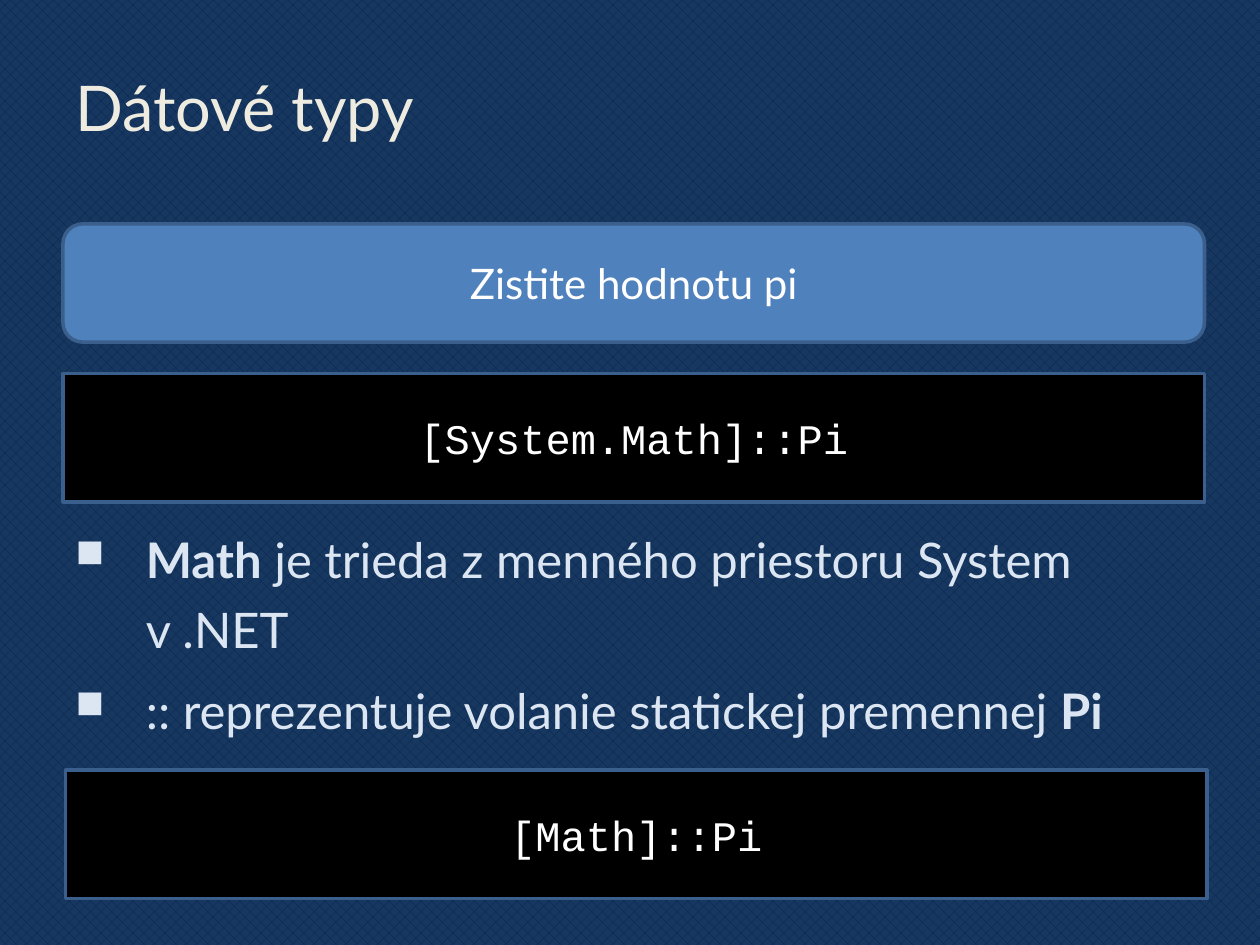
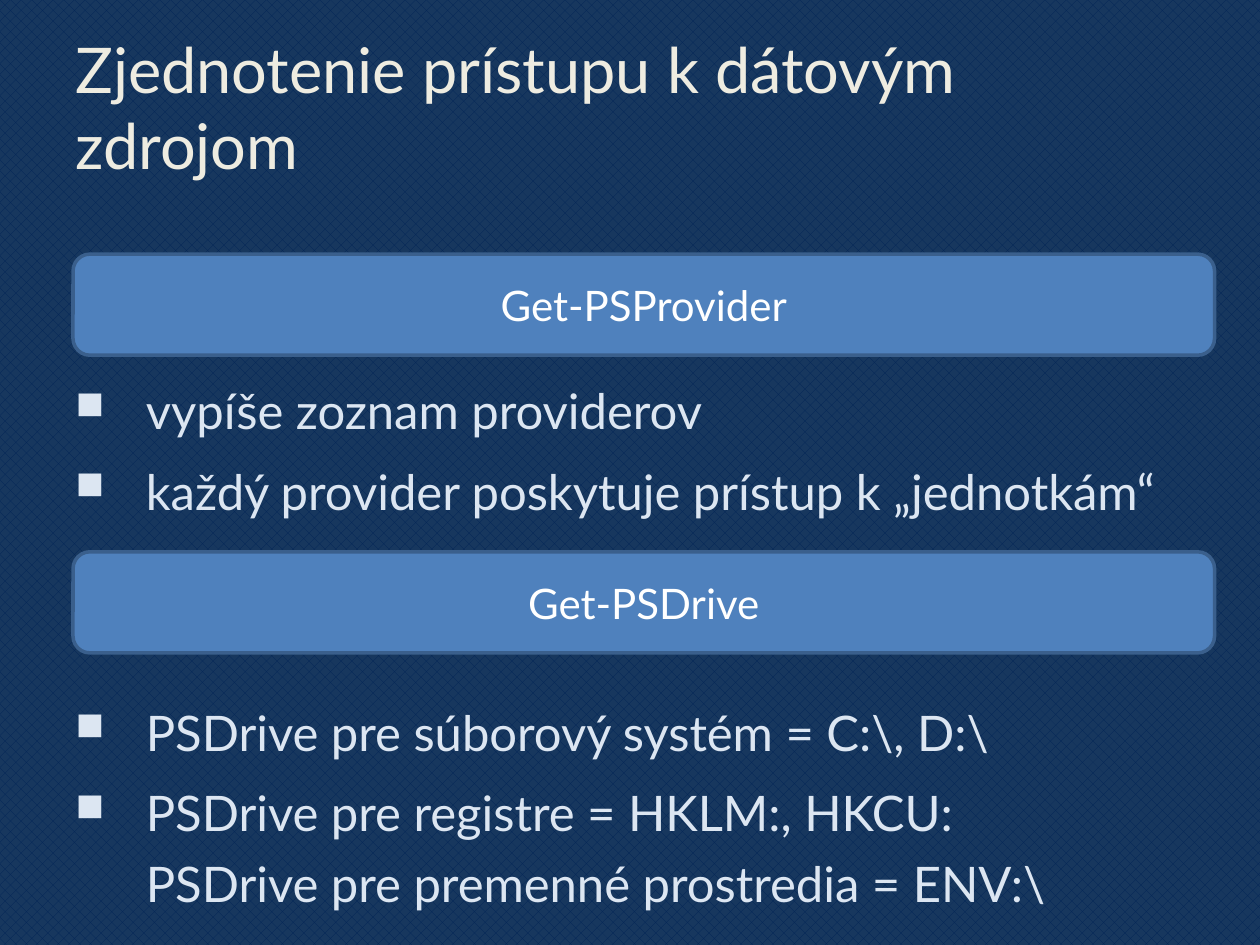
from lxml import etree
from pptx import Presentation
from pptx.dml.color import RGBColor
from pptx.enum.dml import MSO_PATTERN
from pptx.enum.shapes import MSO_SHAPE
from pptx.enum.text import MSO_ANCHOR, PP_ALIGN
from pptx.oxml.ns import qn
from pptx.util import Inches, Pt

PERCENT_40 = MSO_PATTERN.from_xml("pct40")
RECT, ROUNDED = MSO_SHAPE.RECTANGLE, MSO_SHAPE.ROUNDED_RECTANGLE
TOP, MIDDLE = MSO_ANCHOR.TOP, MSO_ANCHOR.MIDDLE
LEFT, CENTER = PP_ALIGN.LEFT, PP_ALIGN.CENTER

# Shared look
WIDTH, HEIGHT = Inches(10), Inches(7.5)
NAVY, DARK_NAVY = "17375E", "012456"
CREAM, PALE, WHITE = "EEECE1", "DCE6F2", "FFFFFF"
BLUE, BORDER, BLACK = "4F81BD", "3A5F8C", "000000"
SANS, MONO = "Lato", "Courier New"
INDENT = Inches(0.56)

# Boxes are left, top, width, height in percent of the slide
TITLE_BOX = (5, 4, 90, 14.5)
PANEL_WIDTH = 90.6


def rgb(value):
    return RGBColor.from_string(value)


def place(box):
    x, y, w, h = box
    return [int(size * share / 100) for size, share in
            ((WIDTH, x), (HEIGHT, y), (WIDTH, w), (HEIGHT, h))]


def add_text(p, text, size=28, color=PALE, font=SANS, bold=False):
    """Add text to a paragraph; a newline becomes a line break."""
    for i, line in enumerate(text.split("\n")):
        if i:
            p.add_line_break()
        r = p.add_run()
        r.text = line
        r.font.size, r.font.name, r.font.bold = Pt(size), font, bold
        r.font.color.rgb = rgb(color)


def add_textbox(slide, box, anchor=TOP):
    tf = slide.shapes.add_textbox(*place(box)).text_frame
    tf.word_wrap = True
    tf.vertical_anchor = anchor
    return tf


def add_title(slide, text):
    p = add_textbox(slide, TITLE_BOX, MIDDLE).paragraphs[0]
    p.alignment = LEFT
    add_text(p, text, size=36, color=CREAM)


def set_bullet(p):
    pPr = p._p.get_or_add_pPr()
    pPr.set("marL", str(int(INDENT)))
    pPr.set("indent", str(-int(INDENT)))
    color = etree.SubElement(pPr, qn("a:buClr"))
    etree.SubElement(color, qn("a:srgbClr"), val=PALE)
    etree.SubElement(pPr, qn("a:buSzPct"), val="80000")
    etree.SubElement(pPr, qn("a:buChar"), char="■")


def add_bullets(slide, box, items):
    """Each item is a list of (text, bold) pieces."""
    tf = add_textbox(slide, box)
    for i, pieces in enumerate(items):
        p = tf.paragraphs[0] if i == 0 else tf.add_paragraph()
        p.line_spacing, p.space_before = 1.2, Pt(5.6)
        set_bullet(p)
        for text, bold in pieces:
            add_text(p, text, bold=bold)


def add_panel(slide, box, text, kind=ROUNDED, fill=BLUE, font=SANS):
    sp = slide.shapes.add_shape(kind, *place(box))
    sp.shadow.inherit = False
    sp.fill.solid()
    sp.fill.fore_color.rgb = rgb(fill)
    sp.line.color.rgb = rgb(BORDER)
    sp.line.width = Pt(2)
    tf = sp.text_frame
    tf.word_wrap = True
    tf.vertical_anchor = MIDDLE
    p = tf.paragraphs[0]
    p.alignment = CENTER
    add_text(p, text, size=24, color=WHITE, font=font)


def add_code(slide, left, top, text):
    add_panel(slide, (left, top, PANEL_WIDTH, 13.6), text, RECT, BLACK, MONO)


def data_types_slide(slide):
    add_title(slide, "Dátové typy")
    add_bullets(slide, (5, 54.1, 90, 27), [
        [("Math", True), (" je trieda z menného priestoru System v .NET", False)],
        [(":: reprezentuje volanie statickej premennej ", False), ("Pi", True)],
    ])
    add_panel(slide, (5, 23.7, PANEL_WIDTH, 12.5), "Zistite hodnotu pi")
    add_code(slide, 5, 39.5, "[System.Math]::Pi")
    add_code(slide, 5.2, 81.5, "[Math]::Pi")


def data_sources_slide(slide):
    add_title(slide, "Zjednotenie prístupu k dátovým zdrojom")
    add_bullets(slide, (5, 38.4, 90, 19), [
        [("vypíše zoznam providerov", False)],
        [("každý provider poskytuje prístup k „jednotkám“", False)],
    ])
    add_bullets(slide, (5, 72.4, 90, 25), [
        [("PSDrive pre súborový systém = C:\\, D:\\", False)],
        [("PSDrive pre registre = HKLM:, HKCU:\n"
          "PSDrive pre premenné prostredia = ENV:\\", False)],
    ])
    for top, command in ((26.9, "Get-PSProvider"), (58.4, "Get-PSDrive")):
        add_panel(slide, (5.8, top, PANEL_WIDTH, 10.7), command)


def main():
    prs = Presentation()
    prs.slide_width, prs.slide_height = WIDTH, HEIGHT

    # Patterned background for every slide
    fill = prs.slide_master.background.fill
    fill.patterned()
    fill.pattern = PERCENT_40
    fill.fore_color.rgb = rgb(DARK_NAVY)
    fill.back_color.rgb = rgb(NAVY)

    for build in (data_types_slide, data_sources_slide):
        build(prs.slides.add_slide(prs.slide_layouts[6]))
    prs.save("out.pptx")


if __name__ == "__main__":
    main()
